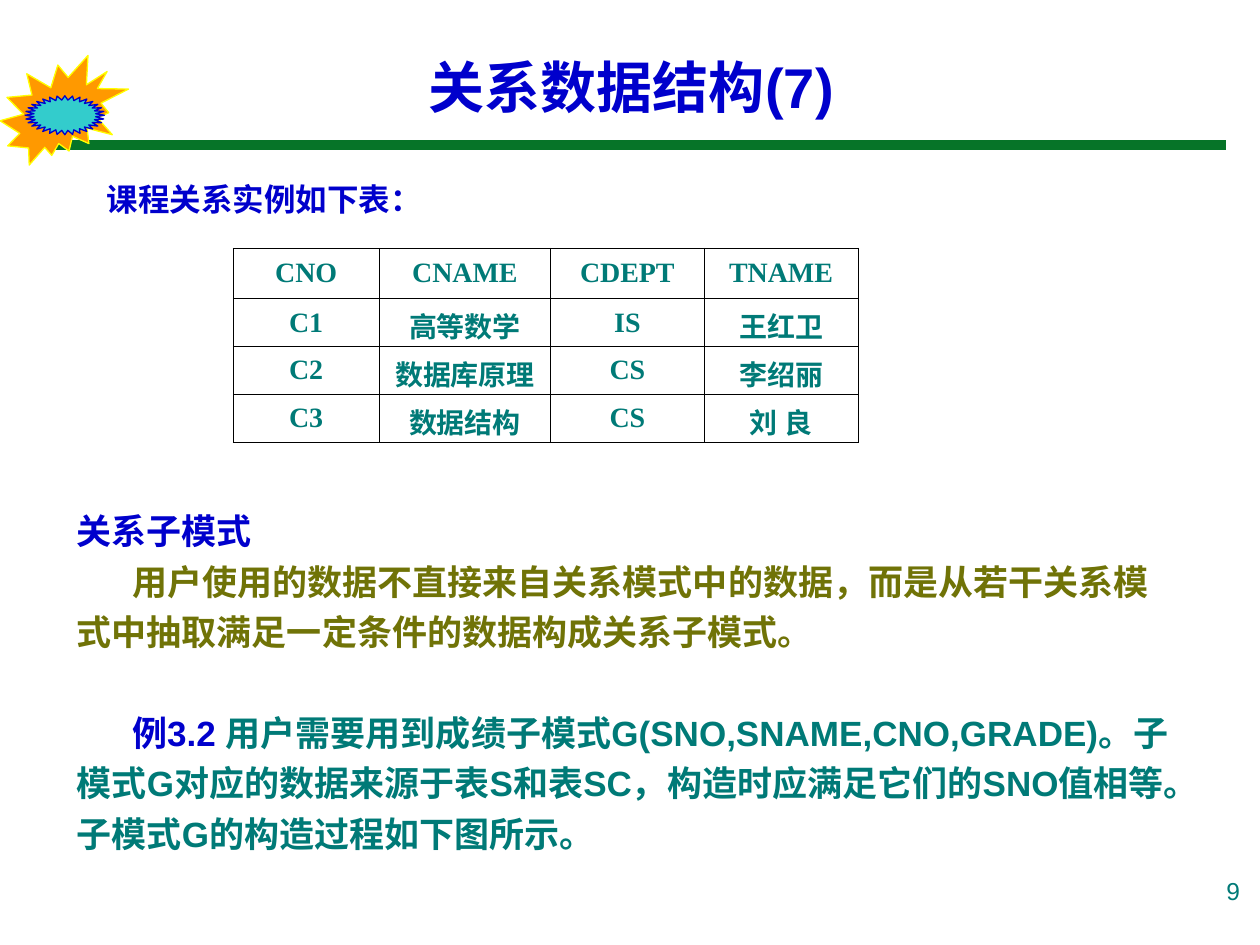
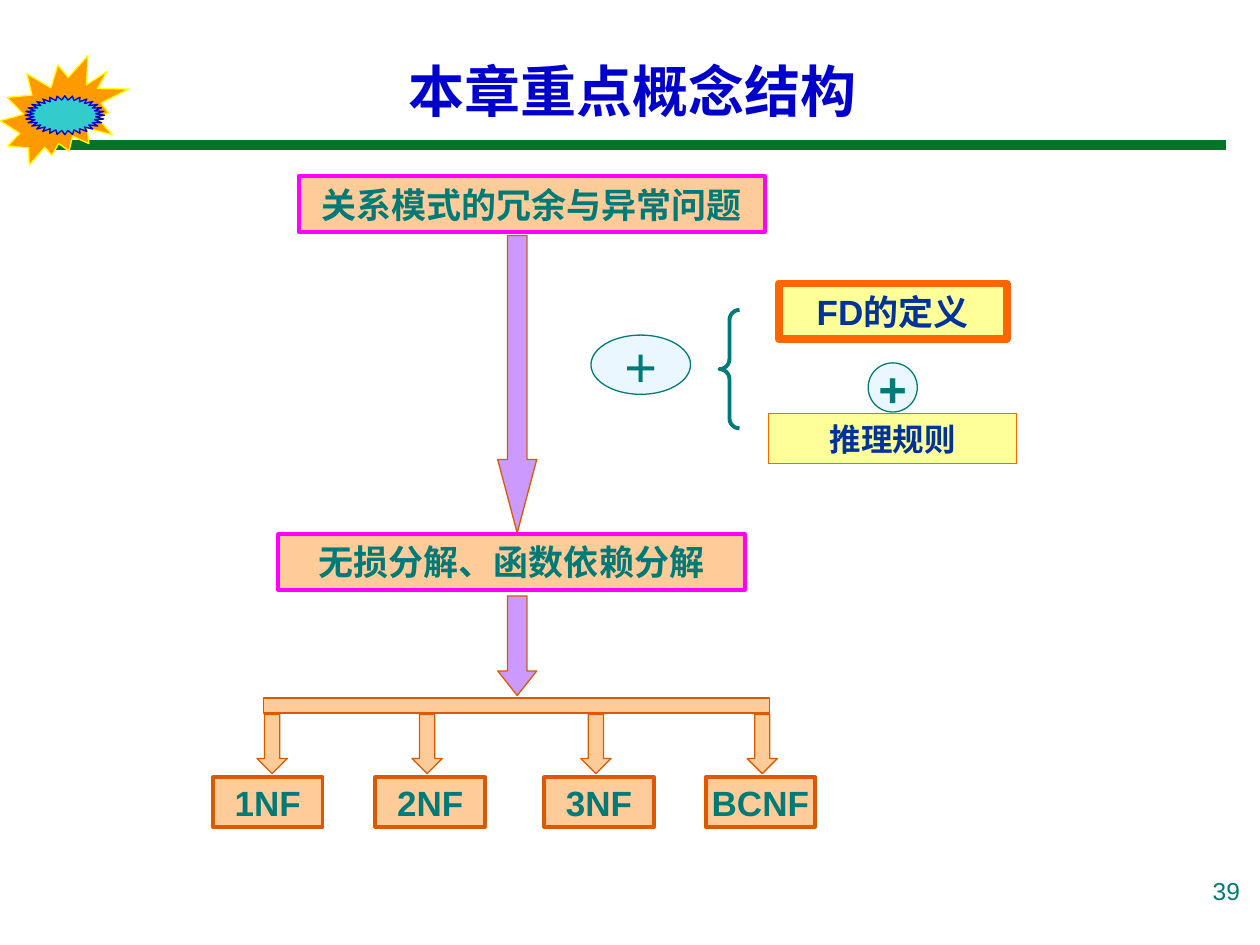
from lxml import etree
from pptx import Presentation
from pptx import util as u
from pptx.dml.color import RGBColor
from pptx.enum import shapes, text
from pptx.oxml import ns

COLUMNS, ROWS = 100, 75
CELL = u.Inches(0.1)
SHAPE = shapes.MSO_SHAPE
CENTER = text.PP_ALIGN.CENTER
MIDDLE = text.MSO_ANCHOR.MIDDLE

BLUE, TEAL, OLIVE, NAVY = "0000CC", "007A77", "707307", "003399"
GREEN, YELLOW, GOLD, AQUA = "067428", "FFFF00", "FF9900", "33CCCC"
PEACH, LILAC, LEMON, ICE = "FFCC99", "CC99FF", "FFFF99", "EBF7FF"
MAGENTA, RUST, ORANGE, BLACK = "FF00FF", "DC5900", "FF6600", "000000"


def color(value):
    return RGBColor.from_string(value)


def grid(*lengths):
    return [round(length * CELL) for length in lengths]


def add_run(paragraph, words, size, ink, bold=True, font="Arial"):
    run = paragraph.add_run()
    run.text = words
    run.font.name = font
    run.font.size = u.Pt(size)
    run.font.bold = bold
    run.font.color.rgb = color(ink)


def add_shape(slide, kind, area, fill, line, width=0.75, adjustments=()):
    shape = slide.shapes.add_shape(kind, *grid(*area))
    shape.shadow.inherit = False
    if fill:
        shape.fill.solid()
        shape.fill.fore_color.rgb = color(fill)
    else:
        shape.fill.background()
    shape.line.color.rgb = color(line)
    shape.line.width = u.Pt(width)
    for index, value in enumerate(adjustments):
        shape.adjustments[index] = value
    return shape


def add_label(shape, words, size=20, ink=TEAL, bold=True, wrap=False):
    frame = shape.text_frame
    frame.word_wrap = wrap
    frame.vertical_anchor = MIDDLE
    paragraph = frame.paragraphs[0]
    paragraph.alignment = CENTER
    add_run(paragraph, words, size, ink, bold)


def add_text_box(slide, area):
    frame = slide.shapes.add_textbox(*grid(*area)).text_frame
    frame.word_wrap = True
    return frame


def add_arrow(slide, area, fill, head=0.5):
    add_shape(slide, SHAPE.DOWN_ARROW, area, fill, RUST, adjustments=(0.5, head))


def add_band(slide):
    left, top, right, bottom = grid(4.3, 11.5, 97.3, 11.5)
    band = slide.shapes.add_connector(
        shapes.MSO_CONNECTOR.STRAIGHT, left, top, right, bottom)
    band.line.color.rgb = color(GREEN)
    band.line.width = u.Pt(6)
    properties = band.element.find(ns.qn("p:spPr"))
    etree.SubElement(properties, ns.qn("a:effectLst"))
    return band


def decorate_layout(layout, slide):
    ornaments = [
        add_band(slide),
        add_shape(slide, SHAPE.EXPLOSION2, (0, 4.4, 10.2, 8.7), GOLD, YELLOW),
        add_shape(slide, SHAPE.STAR_32_POINT, (2, 7.6, 6.3, 3.1), AQUA, BLUE,
                  adjustments=(0.39,)),
    ]
    for ornament in ornaments:
        layout.shapes.element.append(ornament.element)


def add_slide(presentation, layout, title_text, title_area, number):
    slide = presentation.slides.add_slide(layout)
    title = slide.shapes.title
    title.left, title.top, title.width, title.height = grid(*title_area)
    title.text_frame.auto_size = text.MSO_AUTO_SIZE.NONE
    add_label(title, title_text, 32, BLUE, wrap=True)
    paragraph = add_text_box(slide, (74.4, 69, 25, 5.2)).paragraphs[0]
    paragraph.alignment = text.PP_ALIGN.RIGHT
    add_run(paragraph, number, 14, TEAL, bold=False)
    return slide


def set_borders(cell, ink, width):
    properties = cell._tc.get_or_add_tcPr()
    for index, side in enumerate(("lnL", "lnR", "lnT", "lnB")):
        border = etree.Element(ns.qn("a:" + side), w=str(u.Pt(width)))
        fill = etree.SubElement(border, ns.qn("a:solidFill"))
        etree.SubElement(fill, ns.qn("a:srgbClr"), val=ink)
        properties.insert(index, border)


def add_table(slide, area, widths, heights, records):
    table = slide.shapes.add_table(len(heights), len(widths), *grid(*area)).table
    table.first_row = table.horz_banding = False
    for column, width in zip(table.columns, grid(*widths)):
        column.width = width
    for row, height, record in zip(table.rows, grid(*heights), records):
        row.height = height
        for cell, words in zip(row.cells, record):
            cell.fill.background()
            cell.vertical_anchor = MIDDLE
            set_borders(cell, BLACK, 0.45)
            paragraph = cell.text_frame.paragraphs[0]
            paragraph.alignment = CENTER
            add_run(paragraph, words, 16, TEAL, font="Times New Roman")


def add_passage(slide, area, passage):
    frame = add_text_box(slide, area)
    for index, (indent, before, runs) in enumerate(passage):
        paragraph = frame.add_paragraph() if index else frame.paragraphs[0]
        paragraph.line_spacing = 1.2
        if before:
            paragraph.space_before = u.Pt(before)
        if indent:
            properties = paragraph._p.get_or_add_pPr()
            properties.set("marL", "0")
            properties.set("indent", str(grid(indent)[0]))
        for words, ink in runs:
            add_run(paragraph, words, 20, ink)


def fill_course_slide(slide):
    caption = add_text_box(slide, (7.5, 13.8, 33.9, 4))
    add_run(caption.paragraphs[0], "课程关系实例如下表：", 18, BLUE)
    add_table(slide, (18.5, 19.7, 49.6, 15.4),
              (11.6, 13.6, 12.2, 12.2), (4, 3.8, 3.8, 3.8), [
                  ("CNO", "CNAME", "CDEPT", "TNAME"),
                  ("C1", "高等数学", "IS", "王红卫"),
                  ("C2", "数据库原理", "CS", "李绍丽"),
                  ("C3", "数据结构", "CS", "刘 良"),
              ])
    add_passage(slide, (5.1, 39.3, 89.8, 29), [
        (0, 0, [("关系子模式", BLUE)]),
        (4.4, 0, [("用户使用的数据不直接来自关系模式中的数据，而是从若干关系模式"
                   "中抽取满足一定条件的数据构成关系子模式。", OLIVE)]),
        (4.4, 28.8, [("例3.2 ", BLUE),
                     ("用户需要用到成绩子模式G(SNO,SNAME,CNO,GRADE)。"
                      "子模式G对应的数据来源于表S和表SC，构造时应满足它们的SNO"
                      "值相等。子模式G的构造过程如下图所示。", TEAL)]),
    ])


def fill_concept_slide(slide):
    for left, top, words in ((23.7, 14, "关系模式的冗余与异常问题"),
                             (22.1, 42.4, "无损分解、函数依赖分解")):
        box = add_shape(slide, SHAPE.RECTANGLE, (left, top, 37, 4.4),
                        PEACH, MAGENTA, 2.25)
        add_label(box, words)
    add_arrow(slide, (39.5, 18.7, 3.1, 23.6), LILAC, 1.88)
    add_arrow(slide, (39.5, 47.3, 3.1, 7.9), LILAC, 0.63)

    add_shape(slide, SHAPE.RECTANGLE, (20.9, 55.4, 40.2, 1.2), PEACH, RUST)
    for box_left, arrow_left, words in ((16.9, 20.4, "1NF"), (29.8, 32.7, "2NF"),
                                        (43.2, 46.1, "3NF"), (56, 59.3, "BCNF")):
        add_arrow(slide, (arrow_left, 56.7, 2.4, 4.7), PEACH)
        box = add_shape(slide, SHAPE.RECTANGLE, (box_left, 61.7, 8.7, 3.9),
                        PEACH, RUST, 2.25)
        add_label(box, words)

    definition = add_shape(slide, SHAPE.RECTANGLE, (61.8, 22.5, 18.1, 4.4),
                           LEMON, ORANGE, 4.5)
    add_label(definition, "FD的定义", ink=NAVY)
    rules = add_shape(slide, SHAPE.RECTANGLE, (61, 32.8, 19.7, 4), LEMON, ORANGE)
    add_label(rules, "推理规则", 18, NAVY)
    small_plus = add_shape(slide, SHAPE.OVAL, (68.9, 28.8, 3.9, 3.9), ICE, TEAL)
    frame = small_plus.text_frame
    frame.margin_left = frame.margin_right = frame.margin_top = frame.margin_bottom = 0
    add_label(small_plus, "+", 28)
    add_shape(slide, SHAPE.LEFT_BRACE, (57.1, 24.6, 1.6, 9.4), None, TEAL, 2.25,
              (0.5, 0.5))
    large_plus = add_shape(slide, SHAPE.OVAL, (46.9, 26.6, 7.9, 4.7), ICE, TEAL)
    add_label(large_plus, "+", 32, bold=False)


def main():
    presentation = Presentation()
    presentation.slide_width, presentation.slide_height = grid(COLUMNS, ROWS)
    layout = presentation.slide_layouts.get_by_name("Title Only")
    course = add_slide(presentation, layout, "关系数据结构(7)",
                       (3.4, 1.3, 93.4, 11), "9")
    decorate_layout(layout, course)
    fill_course_slide(course)
    concepts = add_slide(presentation, layout, "本章重点概念结构",
                         (3.5, 2.8, 93.4, 8.7), "39")
    fill_concept_slide(concepts)
    presentation.save("out.pptx")


if __name__ == "__main__":
    main()
